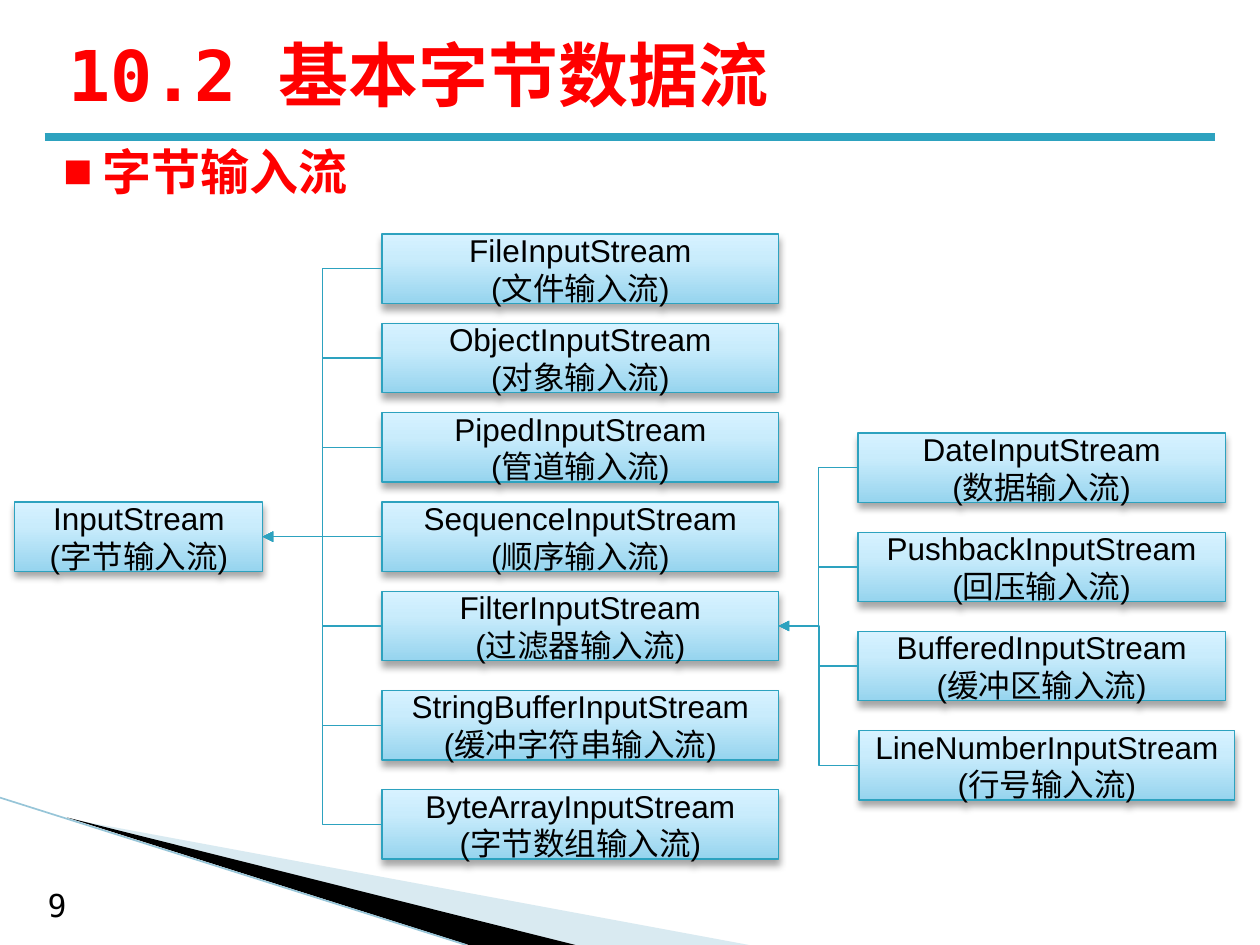
from itertools import accumulate

from lxml import etree
from pptx import Presentation
from pptx import util as u
from pptx.dml.color import RGBColor
from pptx.enum import shapes, text
from pptx.oxml import parse_xml
from pptx.oxml.ns import nsdecls, qn

TITLE = "10.2 基本字节数据流"
HEADING = "字节输入流"
PAGE_NUMBER = "9"
ROOT = ("InputStream", "字节输入流")
STREAMS = [
    ("FileInputStream", "文件输入流"),
    ("ObjectInputStream", "对象输入流"),
    ("PipedInputStream", "管道输入流"),
    ("SequenceInputStream", "顺序输入流"),
    ("FilterInputStream", "过滤器输入流"),
    ("StringBufferInputStream", "缓冲字符串输入流"),
    ("ByteArrayInputStream", "字节数组输入流"),
]
FILTERS = [
    ("DateInputStream", "数据输入流"),
    ("PushbackInputStream", "回压输入流"),
    ("BufferedInputStream", "缓冲区输入流"),
    ("LineNumberInputStream", "行号输入流"),
]
FILTER_PARENT = 4

# Lengths in centimetres
BOX_HEIGHT = 1.4
STREAM_TOPS = list(accumulate([4.72] + [1.8] * 4 + [2] * 2))
FILTER_TOPS = list(accumulate([8.73] + [2] * 3))
FILTER_SPANS = [(17.3, 7.4)] * 3 + [(17.32, 7.57)]  # left, width

TEAL, RED, BLACK = "2DA2BF", "FF0000", "000000"
GRADIENT = [(0, "96D4EE"), (65, "C9ECFC"), (100, "D7F2FF")]
SANS, MONO = "Arial", "DejaVu Sans Mono"


def colour(value):
    return RGBColor.from_string(value)


def cm(*lengths):
    return [u.Cm(length) for length in lengths]


def write(frame, content, size=18, font=SANS, color=BLACK, bold=False,
          align=text.PP_ALIGN.LEFT, anchor=text.MSO_ANCHOR.TOP, bullet=None):
    frame.word_wrap = True
    frame.auto_size = text.MSO_AUTO_SIZE.NONE
    frame.vertical_anchor = anchor
    frame.text = content
    for para in frame.paragraphs:
        if bullet:
            props = para._p.get_or_add_pPr()
            props.set("marL", str(u.Cm(0.8)))
            props.set("indent", str(u.Cm(-0.8)))
            etree.SubElement(props, qn("a:buChar")).set("char", bullet)
        para.alignment = align
        para.space_before = u.Pt(0)
        for span in para.runs:
            span.font.name = font
            span.font.size = u.Pt(size)
            span.font.bold = bold
            span.font.color.rgb = colour(color)


def stream_box(page, names, left, top, width):
    box = page.shapes.add_shape(shapes.MSO_SHAPE.RECTANGLE,
                                *cm(left, top, width, BOX_HEIGHT))
    box.line.color.rgb = colour(TEAL)
    box.line.width = u.Pt(0.75)
    box.fill.gradient()
    props = box._element.spPr
    stops = "".join(f'<a:gs pos="{pos * 1000}"><a:srgbClr val="{value}"/></a:gs>'
                    for pos, value in GRADIENT)
    props.replace(props.find(qn("a:gradFill")), parse_xml(
        f'<a:gradFill {nsdecls("a")} rotWithShape="1"><a:gsLst>{stops}</a:gsLst>'
        '<a:lin ang="16200000" scaled="0"/></a:gradFill>'))
    props.append(parse_xml(
        f'<a:effectLst {nsdecls("a")}><a:outerShdw blurRad="{u.Pt(4)}" '
        f'dist="{u.Pt(3)}" dir="5400000" rotWithShape="0">'
        '<a:srgbClr val="000000"><a:alpha val="35000"/></a:srgbClr>'
        '</a:outerShdw></a:effectLst>'))
    name, label = names
    write(box.text_frame, f"{name}\n({label})",
          align=text.PP_ALIGN.CENTER, anchor=text.MSO_ANCHOR.MIDDLE)
    return box


def connector(page, kind, ends, color, width):
    line = page.shapes.add_connector(kind, *cm(*ends))
    line.line.color.rgb = colour(color)
    line.line.width = u.Pt(width)
    etree.SubElement(line._element.spPr, qn("a:effectLst"))
    return line


def link(page, child, parent):
    """Draw an elbow arrow from the child's left side to the parent's right."""
    arrow = connector(page, shapes.MSO_CONNECTOR.ELBOW, (0, 0, 1, 1), TEAL, 0.75)
    arrow.begin_connect(child, 1)
    arrow.end_connect(parent, 3)
    outline = arrow.line._get_or_add_ln()
    etree.SubElement(outline, qn("a:tailEnd")).set("type", "triangle")


def wedge(page, points, color, opacity=100):
    corners = [cm(*point) for point in points]
    builder = page.shapes.build_freeform(*corners[0])
    builder.add_line_segments(corners[1:])
    shape = builder.convert_to_shape()
    shape.shadow.inherit = False
    shape.line.fill.background()
    shape.fill.solid()
    shape.fill.fore_color.rgb = colour(color)
    if opacity < 100:
        value = shape._element.spPr.find(qn("a:solidFill"))[0]
        etree.SubElement(value, qn("a:alpha")).set("val", str(opacity * 1000))


def place(shape, *position):
    shape.left, shape.top, shape.width, shape.height = cm(*position)


def main():
    deck = Presentation()
    deck.slide_width, deck.slide_height = cm(25.4, 19.05)
    page = deck.slides.add_slide(deck.slide_layouts[1])

    wedge(page, [(1.4, 16.51), (15.1, 19.05), (11.58, 19.05)], "A0CBDC", 40)
    wedge(page, [(1.35, 16.48), (11.6, 19.05), (9.45, 19.05)], BLACK)
    straight = shapes.MSO_CONNECTOR.STRAIGHT
    connector(page, straight, (0, 16.08, 9.4, 19.05), "97C5D8", 0.95)
    connector(page, straight, (0.9, 2.77, 24.5, 2.77), TEAL, 4.5)

    title, body = page.placeholders
    place(title, 1.12, 0.4, 22.86, 2.16)
    write(title.text_frame, TITLE, size=40, font=MONO, color=RED, bold=True,
          anchor=text.MSO_ANCHOR.MIDDLE)
    place(body, 1.02, 2.72, 23.6, 1.45)
    write(body.text_frame, HEADING, size=28, color=RED, bold=True, bullet="■")
    number = page.shapes.add_textbox(*cm(0.71, 17.73, 1.4, 1.02))
    write(number.text_frame, PAGE_NUMBER, font=MONO)

    root = stream_box(page, ROOT, 0.3, STREAM_TOPS[3], 5)
    streams = [stream_box(page, names, 7.7, top, 8)
               for names, top in zip(STREAMS, STREAM_TOPS)]
    filters = [stream_box(page, names, left, top, width)
               for names, top, (left, width)
               in zip(FILTERS, FILTER_TOPS, FILTER_SPANS)]
    for parent, children in ((root, streams), (streams[FILTER_PARENT], filters)):
        for child in children:
            link(page, child, parent)

    deck.save("out.pptx")


if __name__ == "__main__":
    main()
